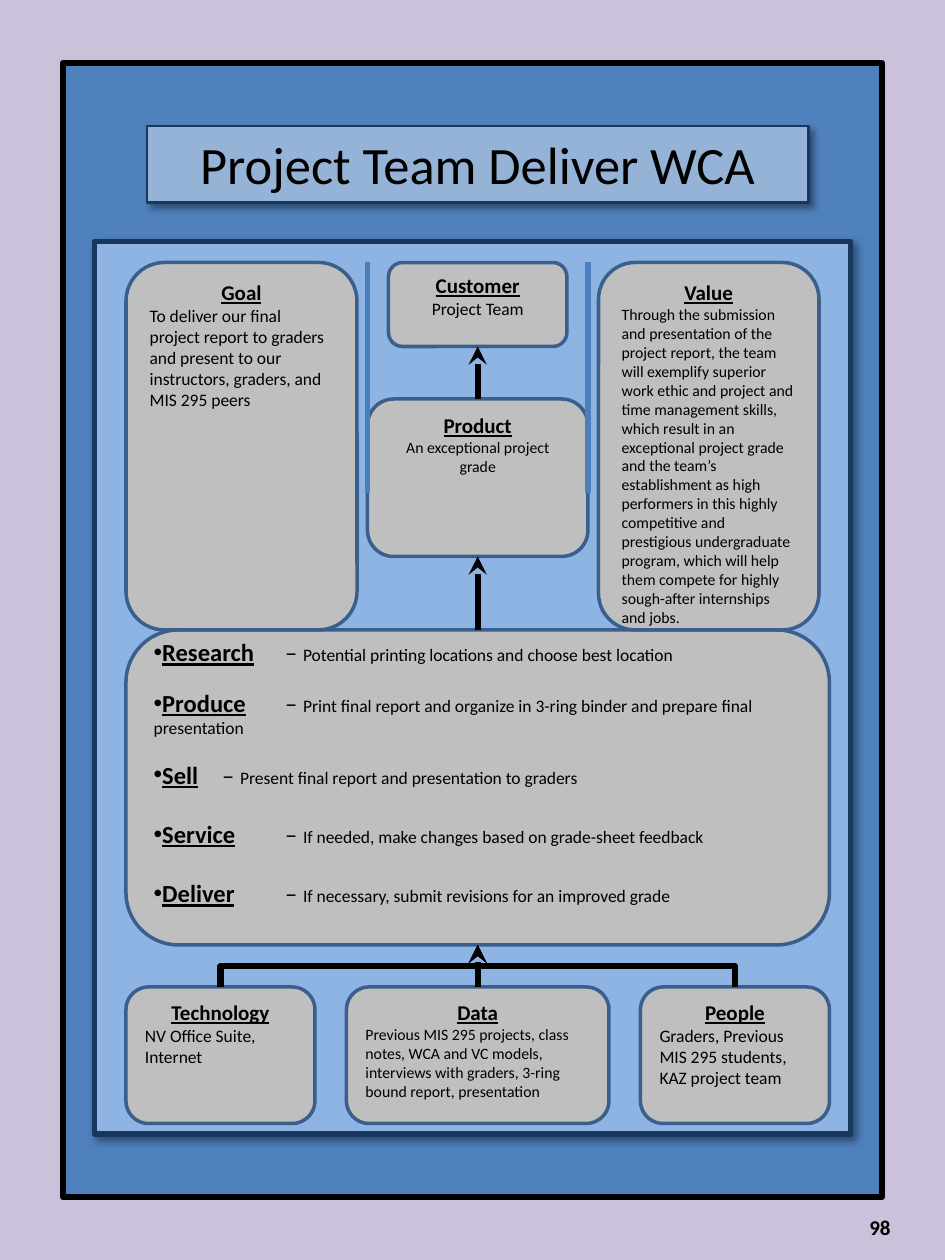
"""Build the project team value chain slide."""
from lxml import etree
from pptx import Presentation
from pptx.dml.color import RGBColor
from pptx.enum import shapes, text
from pptx.oxml import ns
from pptx.util import Pt

FONT = "Calibri"
BLACK, GREY, EDGE, NAVY = "000000", "BFBFBF", "3A5F8C", "17375E"
CENTER, LEFT, RIGHT = text.PP_ALIGN.CENTER, text.PP_ALIGN.LEFT, text.PP_ALIGN.RIGHT
TOP, MIDDLE = text.MSO_ANCHOR.TOP, text.MSO_ANCHOR.MIDDLE
RECT, ROUNDED = shapes.MSO_SHAPE.RECTANGLE, shapes.MSO_SHAPE.ROUNDED_RECTANGLE
STRAIGHT, ELBOW = shapes.MSO_CONNECTOR.STRAIGHT, shapes.MSO_CONNECTOR.ELBOW

UPPER, PROCESS_TOP, PROCESS_BOTTOM, LOWER = 150, 360, 540, 564
MID_X = 273
DIVIDERS, DIVIDER_BOTTOM = (210, 336), 282
PROCESS = (72, PROCESS_TOP, 402, PROCESS_BOTTOM - PROCESS_TOP)

CARDS = [
    ("Customer", "Project Team", 10, CENTER, (222, UPPER, 102, 48)),
    ("Product", "An exceptional project grade", 9, CENTER, (210, 228, 126, 90)),
    ("Technology", "NV Office Suite, Internet", 10, LEFT, (72, LOWER, 108, 78)),
    ("Data", "Previous MIS 295 projects, class notes, WCA and VC models, interviews "
     "with graders, 3-ring bound report, presentation", 9, LEFT, (198, LOWER, 150, 78)),
    ("People", "Graders, Previous MIS 295 students, KAZ project team", 10, LEFT,
     (366, LOWER, 108, 78)),
    ("Goal", "To deliver our final project report to graders and present to our "
     "instructors, graders, and MIS 295 peers", 10, LEFT, (72, UPPER, 132, 210)),
    ("Value", "Through the submission and presentation of the project report, the team "
     "will exemplify superior work ethic and project and time management skills, which "
     "result in an exceptional project grade and the team’s establishment as high "
     "performers in this highly competitive and prestigious undergraduate program, which "
     "will help them compete for highly sough-after internships and jobs.", 9, LEFT,
     (342, UPPER, 126, 210)),
]
STEPS = [
    ("Research", "Potential printing locations and choose best location", 0),
    ("Produce", "Print final report and organize in 3-ring binder and prepare final "
     "presentation", 12.2),
    ("Sell", "Present final report and presentation to graders", 12.2),
    ("Service", "If needed, make changes based on grade-sheet feedback", 17.1),
    ("Deliver", "If necessary, submit revisions for an improved grade", 17.1),
]


def rgb(value):
    return RGBColor.from_string(value)


def add_sub(parent, tag, **attrs):
    return etree.SubElement(parent, ns.qn(tag), attrs)


def add_run(p, words, size, bold=False, underline=False):
    r = p.add_run()
    r.text = words
    r.font.name, r.font.size = FONT, Pt(size)
    r.font.bold, r.font.underline = bold, underline
    r.font.color.rgb = rgb(BLACK)


def add_box(s, kind, frame, fill, line, width, shadow=False):
    sp = s.shapes.add_shape(kind, *map(Pt, frame))
    sp.shadow.inherit = False
    sp.fill.solid()
    sp.fill.fore_color.rgb = rgb(fill)
    sp.line.color.rgb = rgb(line)
    sp.line.width = Pt(width)
    sp.text_frame.vertical_anchor = TOP
    if shadow:
        effects = sp._element.spPr.find(ns.qn("a:effectLst"))
        outer = add_sub(effects, "a:outerShdw", blurRad=str(Pt(4)), dist=str(Pt(3)),
                        dir="2700000", algn="tl", rotWithShape="0")
        add_sub(add_sub(outer, "a:srgbClr", val=BLACK), "a:alpha", val="40000")
    return sp


def add_line(s, kind, start, end, color=BLACK, width=3.5, arrow=True):
    c = s.shapes.add_connector(kind, *map(Pt, (*start, *end)))
    c.line.color.rgb = rgb(color)
    c.line.width = Pt(width)
    if arrow:
        add_sub(c.line._get_or_add_ln(), "a:tailEnd", type="stealth")
    add_sub(c._element.spPr, "a:effectLst")
    return c


def add_card(s, heading, body, size, align, frame):
    sp = add_box(s, ROUNDED, frame, GREY, EDGE, 2)
    tf = sp.text_frame
    p = tf.paragraphs[0]
    p.alignment = CENTER
    add_run(p, heading, 12, True, True)
    p = tf.add_paragraph()
    p.alignment = align
    add_run(p, body, size)
    return sp


def add_process(s):
    sp = add_box(s, ROUNDED, PROCESS, GREY, EDGE, 2)
    tf = sp.text_frame
    tf.vertical_anchor = MIDDLE
    tf.margin_top, tf.margin_bottom = Pt(0), Pt(17)
    for i, (name, action, gap) in enumerate(STEPS):
        p = tf.add_paragraph() if i else tf.paragraphs[0]
        p.alignment = LEFT
        p.space_before = Pt(gap)
        pPr = p._p.get_or_add_pPr()
        pPr.set("marL", "0")
        pPr.set("indent", "0")
        add_sub(pPr, "a:buFont", typeface="Arial")
        add_sub(pPr, "a:buChar", char="•")
        add_run(p, name, 14, True, True)
        add_run(p, "\t – ", 14)
        add_run(p, action, 10)
    return sp


def add_elbow(s, x, turn):
    half = abs(MID_X - x) / 2
    rise = (LOWER - PROCESS_BOTTOM) / 2
    cx, cy = (x + MID_X) / 2, (LOWER + PROCESS_BOTTOM) / 2
    side = rise if turn == 90 else -rise
    c = add_line(s, ELBOW, (cx + side, cy + half), (cx - side, cy - half))
    c._element.spPr.find(ns.qn("a:xfrm")).set("rot", str(turn * 60000))


def main():
    prs = Presentation()
    prs.slide_width, prs.slide_height = Pt(540), Pt(720)
    s = prs.slides.add_slide(prs.slide_layouts[6])
    s.background.fill.solid()
    s.background.fill.fore_color.rgb = rgb("CCC1DA")

    add_box(s, RECT, (36, 36, 468, 648), "4F81BD", BLACK, 3.75)
    add_box(s, RECT, (54, 138, 432, 510), "8EB4E3", NAVY, 3, True)
    title = add_box(s, RECT, (84, 72, 378, 43.6), "95B3D7", NAVY, 1.5, True)
    p = title.text_frame.paragraphs[0]
    p.alignment = CENTER
    add_run(p, "Project Team Deliver WCA", 30)

    boxes = {"Process": add_process(s)}
    for card in CARDS:
        boxes[card[0]] = add_card(s, *card)

    for x in DIVIDERS:
        add_line(s, STRAIGHT, (x, UPPER), (x, DIVIDER_BOTTOM), "4B7EBC", 3, False)
    for lower, upper in (("Data", "Process"), ("Process", "Product"), ("Product", "Customer")):
        c = add_line(s, STRAIGHT, (MID_X, LOWER), (MID_X, PROCESS_BOTTOM))
        c.begin_connect(boxes[lower], 0)
        c.end_connect(boxes[upper], 2)
    for name, turn in (("Technology", 90), ("People", 270)):
        add_elbow(s, (boxes[name].left + boxes[name].width / 2) / Pt(1), turn)

    number = s.shapes.add_textbox(Pt(390), Pt(682), Pt(126), Pt(38))
    tf = number.text_frame
    tf.word_wrap = True
    tf.vertical_anchor = MIDDLE
    p = tf.paragraphs[0]
    p.alignment = RIGHT
    add_run(p, "98", 12, True)
    prs.save("out.pptx")


if __name__ == "__main__":
    main()
